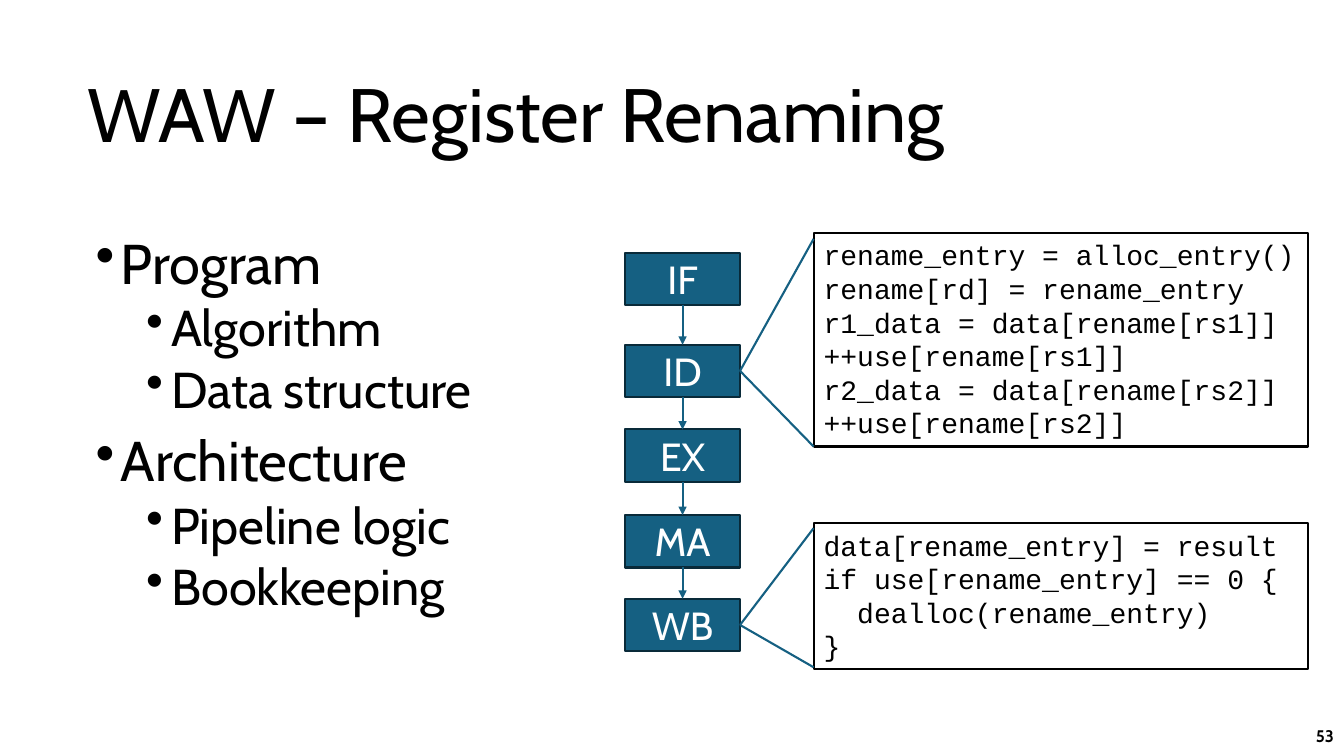
from dataclasses import dataclass
from itertools import pairwise

from lxml.etree import SubElement
from pptx import Presentation
from pptx.dml.color import RGBColor
from pptx.enum.shapes import MSO_CONNECTOR as Link, MSO_SHAPE as Preset
from pptx.enum.text import MSO_ANCHOR as Anchor, MSO_AUTO_SIZE as Fit, PP_ALIGN as Align
from pptx.oxml.ns import qn
from pptx.shapes.autoshape import Shape
from pptx.shapes.connector import Connector
from pptx.slide import Slide
from pptx.text.text import TextFrame
from pptx.util import Emu, Pt

EMU_PER_PX = 9144  # 100 px to the inch
SANS, MONO = "Cabin", "Courier New"
BLACK, WHITE, BLUE, NAVY = "000000", "FFFFFF", "156082", "092A39"
BOTTOM_SITE, TOP_SITE, RIGHT_SITE = 2, 0, 3


@dataclass
class Stage:
    name: str
    top: int


@dataclass
class Callout:
    stage: str
    top: int
    height: int
    wedge_top: int
    wedge_bottom: int
    code: str


@dataclass
class Bullet:
    text: str
    level: int = 0


STAGES = [
    Stage("IF", 251),
    Stage("ID", 342),
    Stage("EX", 426),
    Stage("MA", 511),
    Stage("WB", 594),
]

CALLOUTS = [
    Callout("ID", 231, 212, 237, 443, """rename_entry = alloc_entry()
rename[rd] = rename_entry
r1_data = data[rename[rs1]]
++use[rename[rs1]]
r2_data = data[rename[rs2]]
++use[rename[rs2]]"""),
    Callout("WB", 519, 145, 524, 662, """data[rename_entry] = result
if use[rename_entry] == 0 {
  dealloc(rename_entry)
}"""),
]

BULLETS = [
    Bullet("Program"),
    Bullet("Algorithm", 1),
    Bullet("Data structure", 1),
    Bullet("Architecture"),
    Bullet("Pipeline logic", 1),
    Bullet("Bookkeeping", 1),
]


def px(length: int) -> Emu:
    return Emu(length * EMU_PER_PX)


def color(value: str) -> RGBColor:
    return RGBColor.from_string(value)


def write(frame: TextFrame, text: str, *, size: int, font: str = SANS, ink: str = BLACK,
          bold: bool = False, align: Align = Align.LEFT, anchor: Anchor = Anchor.TOP,
          spacing: float = 1.0, fit: Fit = Fit.NONE) -> None:
    """Fill the frame with one paragraph for each line of text."""
    frame.text = text
    frame.word_wrap = True
    frame.auto_size = fit
    frame.vertical_anchor = anchor
    for para in frame.paragraphs:
        para.alignment = align
        para.line_spacing = spacing
        para.font.name = font
        para.font.size = Pt(size)
        para.font.bold = bold
        para.font.color.rgb = color(ink)


def add_box(page: Slide, left: int, top: int, width: int, height: int,
            fill: str, outline: str) -> Shape:
    box = page.shapes.add_shape(Preset.RECTANGLE, px(left), px(top), px(width), px(height))
    box.shadow.inherit = False
    box.fill.solid()
    box.fill.fore_color.rgb = color(fill)
    box.line.color.rgb = color(outline)
    box.line.width = Pt(1.5)
    return box


def add_link(page: Slide, start: Shape, site: int, end_x: int = 0, end_y: int = 0) -> Connector:
    link = page.shapes.add_connector(Link.STRAIGHT, 0, 0, px(end_x), px(end_y))
    link.begin_connect(start, site)
    link.line.color.rgb = color(BLUE)
    link.line.width = Pt(1.5)
    SubElement(link._element.spPr, qn("a:effectLst"))
    return link


def add_arrow(page: Slide, upper: Shape, lower: Shape) -> None:
    arrow = add_link(page, upper, BOTTOM_SITE)
    arrow.end_connect(lower, TOP_SITE)
    SubElement(arrow.line._get_or_add_ln(), qn("a:tailEnd"), type="triangle")


def add_bullets(page: Slide) -> None:
    box = page.shapes.add_textbox(px(85), px(229), px(441), px(476))
    frame = box.text_frame
    write(frame, "\n".join(bullet.text for bullet in BULLETS), size=40, spacing=0.9)
    for index, (para, bullet) in enumerate(zip(frame.paragraphs, BULLETS)):
        para.level = bullet.level
        para.font.size = Pt(40 - 4 * bullet.level)
        if index:
            para.space_before = Pt(10 - 5 * bullet.level)
        props = para._p.get_or_add_pPr()
        props.set("marL", str(px(25 + 50 * bullet.level)))
        props.set("indent", str(px(-25)))
        mark = props.makeelement(qn("a:buChar"), {"char": "•"})
        props.find(qn("a:defRPr")).addprevious(mark)


def add_callout(page: Slide, callout: Callout, stage: Shape) -> None:
    left = 807
    box = add_box(page, left, callout.top, 490, callout.height, WHITE, BLACK)
    write(box.text_frame, callout.code, size=20, font=MONO, fit=Fit.SHAPE_TO_FIT_TEXT)
    for end_y in (callout.wedge_top, callout.wedge_bottom):
        add_link(page, stage, RIGHT_SITE, left, end_y)


def main() -> None:
    deck = Presentation()
    deck.slide_width, deck.slide_height = px(1333), px(750)
    page = deck.slides.add_slide(deck.slide_layouts.get_by_name("Title Only"))

    title = page.shapes.title
    title.left, title.top, title.width, title.height = map(px, (77, 45, 1150, 145))
    write(title.text_frame, "WAW – Register Renaming", size=54, anchor=Anchor.MIDDLE,
          spacing=0.9)
    add_bullets(page)

    number = page.shapes.add_textbox(px(1033), px(710), px(300), px(40))
    write(number.text_frame, "53", size=12, bold=True, align=Align.RIGHT, anchor=Anchor.MIDDLE)

    boxes: dict[str, Shape] = {}
    for stage in STAGES:
        box = add_box(page, 620, stage.top, 114, 52, BLUE, NAVY)
        write(box.text_frame, stage.name, size=28, ink=WHITE, align=Align.CENTER,
              anchor=Anchor.MIDDLE)
        boxes[stage.name] = box
    for upper, lower in pairwise(boxes.values()):
        add_arrow(page, upper, lower)
    for callout in CALLOUTS:
        add_callout(page, callout, boxes[callout.stage])

    deck.save("out.pptx")


if __name__ == "__main__":
    main()
